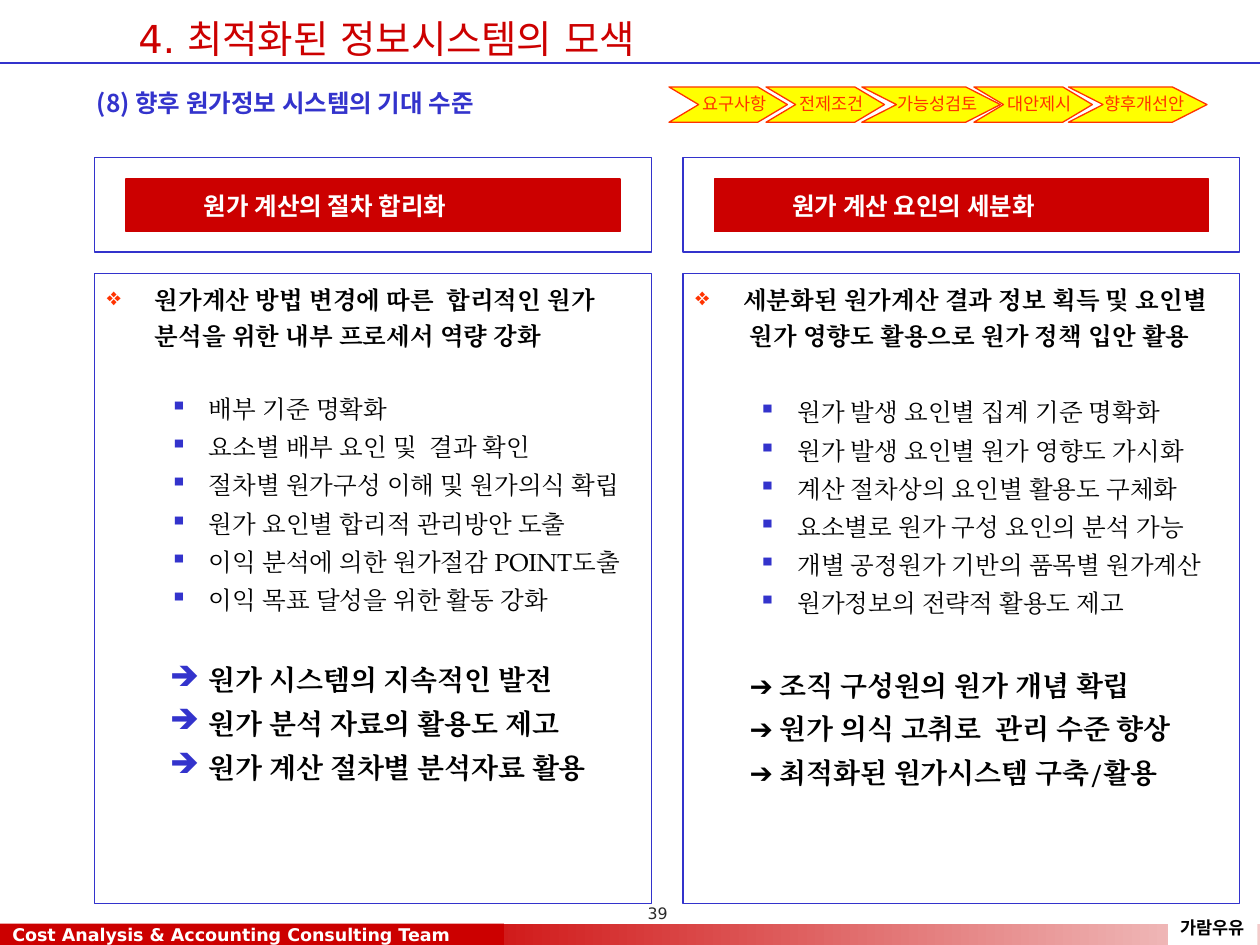
from lxml.etree import SubElement
from pptx import Presentation
from pptx.dml.color import RGBColor
from pptx.enum.shapes import MSO_CONNECTOR as Connector, MSO_SHAPE as Shape
from pptx.enum.text import MSO_ANCHOR as Anchor, PP_ALIGN as Align
from pptx.oxml.ns import qn
from pptx.util import Inches, Pt

RED = RGBColor(0xCC, 0x00, 0x00)
PINK = RGBColor(0xF3, 0xCB, 0xCB)
BLUE = RGBColor(0x33, 0x33, 0xCC)
ORANGE = RGBColor(0xFF, 0x33, 0x00)
YELLOW = RGBColor(0xFF, 0xFF, 0x00)
WHITE = RGBColor(0xFF, 0xFF, 0xFF)
BLACK = RGBColor(0x00, 0x00, 0x00)
GRAY = RGBColor(0x29, 0x29, 0x29)

SANS, KOREAN, SERIF, ARROW = "DejaVu Sans", "Noto Sans CJK KR", "TeX Gyre Pagella", "Arial"


class Deck:
    line_width = Pt(0.75)

    def __init__(self, slide):
        self.slide = slide

    def finish(self, sp, fill=None, line=None):
        sp.shadow.inherit = False
        if fill is None:
            sp.fill.background()
        else:
            sp.fill.solid()
            sp.fill.fore_color.rgb = fill
        if line is None:
            sp.line.fill.background()
        else:
            sp.line.color.rgb = line
            sp.line.width = self.line_width
        return sp

    def rect(self, x, y, w, h, fill=None, line=None):
        box = [Inches(v) for v in (x, y, w, h)]
        return self.finish(self.slide.shapes.add_shape(Shape.RECTANGLE, *box), fill, line)

    def chevron(self, x, y, w, h, fill, line):
        point = w / 4
        outline = [(x + w - point, y), (x + w, y + h / 2), (x + w - point, y + h),
                   (x, y + h), (x + point, y + h / 2)]
        builder = self.slide.shapes.build_freeform(Inches(x), Inches(y))
        builder.add_line_segments([(Inches(a), Inches(b)) for a, b in outline])
        return self.finish(builder.convert_to_shape(), fill, line)

    def rule(self, x1, y1, x2, y2, color):
        ends = [Inches(v) for v in (x1, y1, x2, y2)]
        cx = self.slide.shapes.add_connector(Connector.STRAIGHT, *ends)
        cx.line.color.rgb = color
        cx.line.width = self.line_width
        SubElement(cx._element.spPr, qn("a:effectLst"))

    def textbox(self, x, y, w, h):
        return self.slide.shapes.add_textbox(*[Inches(v) for v in (x, y, w, h)])

    def frame(self, sp, anchor=Anchor.TOP, wrap=True, insets=(0.1, 0.05, 0.1, 0.05)):
        tf = sp.text_frame
        tf.word_wrap = wrap
        tf.vertical_anchor = anchor
        tf.margin_left, tf.margin_top, tf.margin_right, tf.margin_bottom = map(Inches, insets)
        return tf

    def style(self, r, size, color, font, bold=False):
        r.font.size = Pt(size)
        r.font.color.rgb = color
        r.font.bold = bold
        r.font.name = font
        SubElement(r._r.get_or_add_rPr(), qn("a:ea"), typeface=font)

    def layout(self, p, spacing=None, margin=0, indent=0, align=Align.LEFT):
        p.alignment = align
        p.line_spacing = spacing
        pPr = p._p.get_or_add_pPr()
        pPr.set("marL", str(Inches(margin)))
        pPr.set("indent", str(Inches(indent)))
        return pPr

    def label(self, tf, text, size, color, font, bold=False, **layout):
        p = tf.paragraphs[0]
        p.text = text
        self.layout(p, **layout)
        self.style(p.runs[0], size, color, font, bold)

    def item(self, tf, text, size=14, bold=False, spacing=1.3, margin=0.81, indent=-0.31,
             before=0, bullet=None, bullet_color=BLUE, lead=None):
        p = tf.paragraphs[0]
        if p.runs:
            p = tf.add_paragraph()
            p.space_before = Pt(before)
        p.level = 1 if margin > 0.8 else 0
        pPr = self.layout(p, spacing, margin, indent)
        if bullet:
            color = SubElement(pPr, qn("a:buClr"))
            SubElement(color, qn("a:srgbClr"), val=str(bullet_color))
            SubElement(pPr, qn("a:buChar"), char=bullet)
        else:
            SubElement(pPr, qn("a:buNone"))
        if lead:
            r = p.add_run()
            r.text = lead
            self.style(r, size, BLACK, ARROW, bold)
        r = p.add_run()
        r.text = text
        self.style(r, size, BLACK, SERIF, bold)


HEAD = dict(bold=True, spacing=1.2, margin=0.38, indent=-0.38, bullet="❖", bullet_color=ORANGE)
HEAD_MORE = dict(bold=True, spacing=1.2, margin=0.43, indent=0)
POINT = dict(bullet="▪")
RESULT = dict(size=16, bold=True, bullet="➔")
RESULT_INLINE = dict(size=16, bold=True, margin=0.43, indent=0, lead="➔")

STEPS = [("요구사항", 5.31, 0.94), ("전제조건", 6.08, 0.94), ("가능성검토", 6.84, 1.1),
         ("대안제시", 7.73, 0.94), ("향후개선안", 8.48, 1.1)]

# Each column: left edge, title, then groups of (style, gap above in points, lines)
COLUMNS = [
    (0.75, "원가 계산의 절차 합리화", [
        (HEAD, 0, ["원가계산 방법 변경에 따른  합리적인 원가 분석을 위한 내부 프로세서 역량 강화"]),
        (POINT, 20, ["배부 기준 명확화",
                     "요소별 배부 요인 및  결과 확인",
                     "절차별 원가구성 이해 및 원가의식 확립",
                     "원가 요인별 합리적 관리방안 도출",
                     "이익 분석에 의한 원가절감 POINT도출",
                     "이익 목표 달성을 위한 활동 강화"]),
        (RESULT, 22, ["원가 시스템의 지속적인 발전",
                      "원가 분석 자료의 활용도 제고",
                      "원가 계산 절차별 분석자료 활용"]),
    ]),
    (5.42, "원가 계산 요인의 세분화", [
        (HEAD, 0, ["세분화된 원가계산 결과 정보 획득 및 요인별"]),
        (HEAD_MORE, 0, ["원가 영향도 활용으로 원가 정책 입안 활용"]),
        (POINT, 22, ["원가 발생 요인별 집계 기준 명확화",
                     "원가 발생 요인별 원가 영향도 가시화",
                     "계산 절차상의 요인별 활용도 구체화",
                     "요소별로 원가 구성 요인의 분석 가능",
                     "개별 공정원가 기반의 품목별 원가계산",
                     "원가정보의 전략적 활용도 제고"]),
        (RESULT_INLINE, 23, [" 조직 구성원의 원가 개념 확립",
                             " 원가 의식 고취로  관리 수준 향상",
                             " 최적화된 원가시스템 구축/활용"]),
    ]),
]


def main():
    prs = Presentation()
    prs.slide_width, prs.slide_height = Inches(10), Inches(7.5)
    s = Deck(prs.slides.add_slide(prs.slide_layouts[6]))

    # Footer band and header rule
    band = s.rect(3.08, 7.33, 6.92, 0.17)
    band.fill.gradient()
    band.fill.gradient_angle = 0
    for stop, color in zip(band.fill.gradient_stops, (RED, PINK)):
        stop.color.rgb = color
    s.rule(0, 0.5, 10, 0.5, BLUE)
    tf = s.frame(s.rect(0, 7.33, 4, 0.17, RED), Anchor.MIDDLE, wrap=False)
    s.label(tf, "Cost Analysis & Accounting Consulting Team", 10, WHITE, SANS, True)
    tf = s.frame(s.rect(9.27, 7.23, 0.71, 0.27, WHITE), wrap=False)
    s.label(tf, "가람우유", 10, BLACK, KOREAN, True, align=Align.CENTER)

    # Title and section heading
    tf = s.frame(s.textbox(1, 0, 7.75, 0.5), Anchor.MIDDLE)
    s.label(tf, "4. 최적화된 정보시스템의 모색", 22, RED, SANS, spacing=1.3)
    tf = s.frame(s.textbox(0.67, 0.58, 4, 0.33))
    s.label(tf, "(8) 향후 원가정보 시스템의 기대 수준", 14, BLUE, KOREAN, True,
            spacing=1.3, margin=0.38, indent=-0.38)

    # Progress chevrons
    for text, x, w in STEPS:
        sp = s.chevron(x, 0.69, w, 0.28, YELLOW, ORANGE)
        tf = s.frame(sp, Anchor.MIDDLE, wrap=False, insets=(0.2, 0, 0.1, 0.05))
        s.label(tf, text, 10, ORANGE, KOREAN, spacing=1.2, align=Align.CENTER)

    # Two columns: framed title above a detail panel
    for x, title, groups in COLUMNS:
        s.rect(x, 1.25, 4.42, 0.75, line=BLUE)
        tf = s.frame(s.rect(x + 0.25, 1.42, 3.92, 0.42, RED, RED), Anchor.MIDDLE)
        s.label(tf, title, 14, WHITE, KOREAN, True, margin=0.52)
        tf = s.frame(s.rect(x, 2.17, 4.42, 5, WHITE, BLUE))
        for kind, gap, lines in groups:
            for i, text in enumerate(lines):
                s.item(tf, text, before=0 if i else gap, **kind)

    # Page number
    tf = s.frame(s.textbox(4.42, 7.12, 1.5, 0.25), insets=(0.1, 0.05, 0, 0.05))
    s.label(tf, "39", 9, GRAY, SANS, align=Align.CENTER)

    prs.save("out.pptx")


if __name__ == "__main__":
    main()
